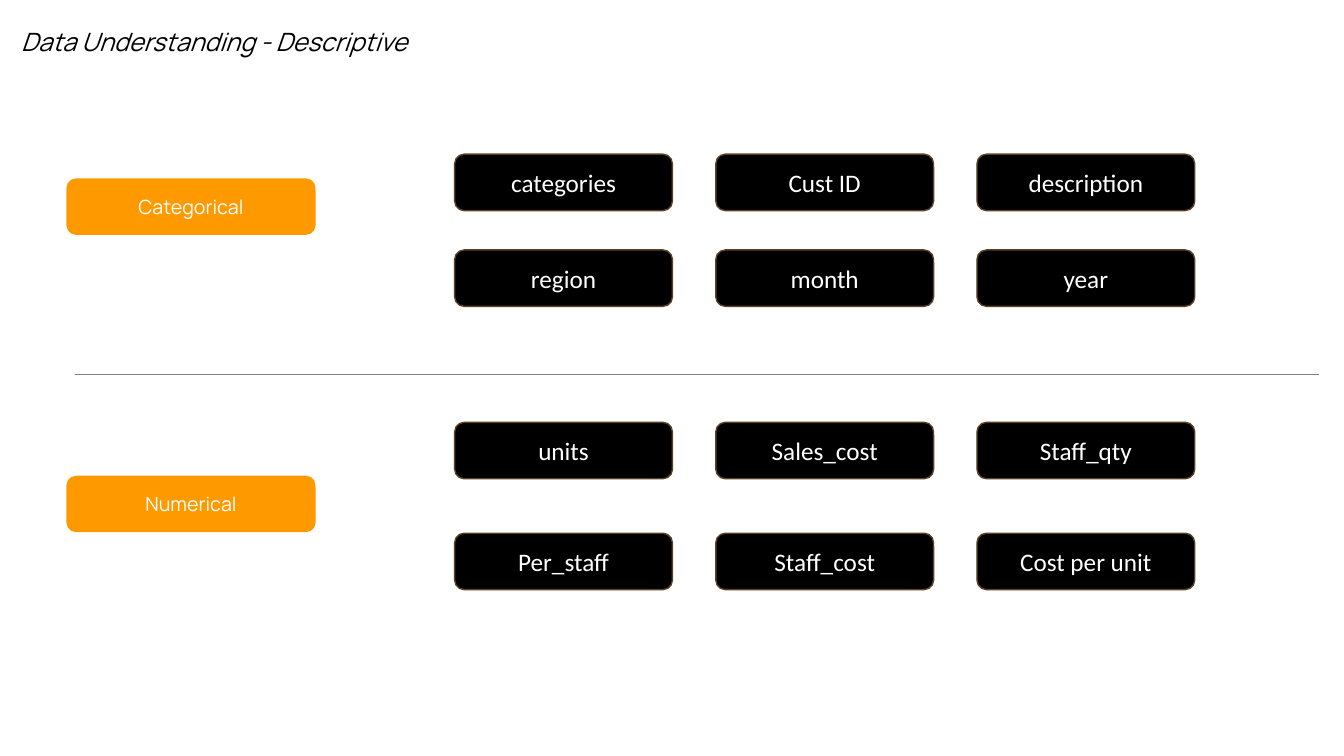
from pptx import Presentation
from pptx.dml.color import RGBColor
from pptx.enum.shapes import MSO_CONNECTOR, MSO_SHAPE
from pptx.enum.text import MSO_ANCHOR, MSO_AUTO_SIZE, PP_ALIGN
from pptx.oxml.ns import qn
from pptx.util import Pt
from lxml import etree

ROUNDED = MSO_SHAPE.ROUNDED_RECTANGLE
STRAIGHT = MSO_CONNECTOR.STRAIGHT
MIDDLE = MSO_ANCHOR.MIDDLE
LEFT, CENTER = PP_ALIGN.LEFT, PP_ALIGN.CENTER
NO_AUTOFIT = MSO_AUTO_SIZE.NONE
TITLE_ONLY = 5
PX = 9144  # 100 px to the inch
BOX_HEIGHT = 56


def color(hex_code):
    return RGBColor.from_string(hex_code)


def write(shape, text, size, font="Calibri", ink="FFFFFF", align=CENTER,
          italic=False, spacing=None):
    frame = shape.text_frame
    frame.word_wrap = True
    frame.auto_size = NO_AUTOFIT
    frame.vertical_anchor = MIDDLE
    frame.text = text
    paragraph = frame.paragraphs[0]
    paragraph.alignment = align
    paragraph.line_spacing = spacing
    run_font = paragraph.runs[0].font
    run_font.name = font
    run_font.size = Pt(size)
    run_font.italic = italic
    run_font.color.rgb = color(ink)


prs = Presentation()
prs.slide_width, prs.slide_height = 1333 * PX, 750 * PX
slide = prs.slides.add_slide(prs.slide_layouts[TITLE_ONLY])

# Title
title = slide.shapes.title
title.left, title.top, title.width, title.height = 11 * PX, 15 * PX, 739 * PX, 56 * PX
write(title, "Data Understanding - Descriptive", 18, font="Manrope",
      ink="000000", align=LEFT, italic=True, spacing=0.9)

# Variable types
for kind, top in (("Categorical", 177), ("Numerical", 472)):
    label = slide.shapes.add_shape(ROUNDED, 66 * PX, top * PX, 247 * PX, BOX_HEIGHT * PX)
    label.shadow.inherit = False
    label.fill.solid()
    label.fill.fore_color.rgb = color("FF9900")
    label.line.fill.background()
    write(label, kind, 14, font="Manrope")

# Divider between the two types
divider = slide.shapes.add_connector(STRAIGHT, 74 * PX, 371 * PX, 1308 * PX, 371 * PX)
divider.line.color.rgb = color("808080")
divider.line.width = Pt(0.5)
etree.SubElement(divider._element.spPr, qn("a:effectLst"))

# Variables, three to a row
variable_rows = (
    (153, ("categories", "Cust ID", "description")),
    (248, ("region", "month", "year")),
    (419, ("units", "Sales_cost", "Staff_qty")),
    (529, ("Per_staff", "Staff_cost", "Cost per unit")),
)
for top, variables in variable_rows:
    for column, variable in enumerate(variables):
        left = 451 + 259 * column
        box = slide.shapes.add_shape(ROUNDED, left * PX, top * PX, 216 * PX, BOX_HEIGHT * PX)
        box.shadow.inherit = False
        box.fill.solid()
        box.fill.fore_color.rgb = color("000000")
        box.line.color.rgb = color("5C4224")
        box.line.width = Pt(1)
        write(box, variable, 18)

prs.save("out.pptx")
